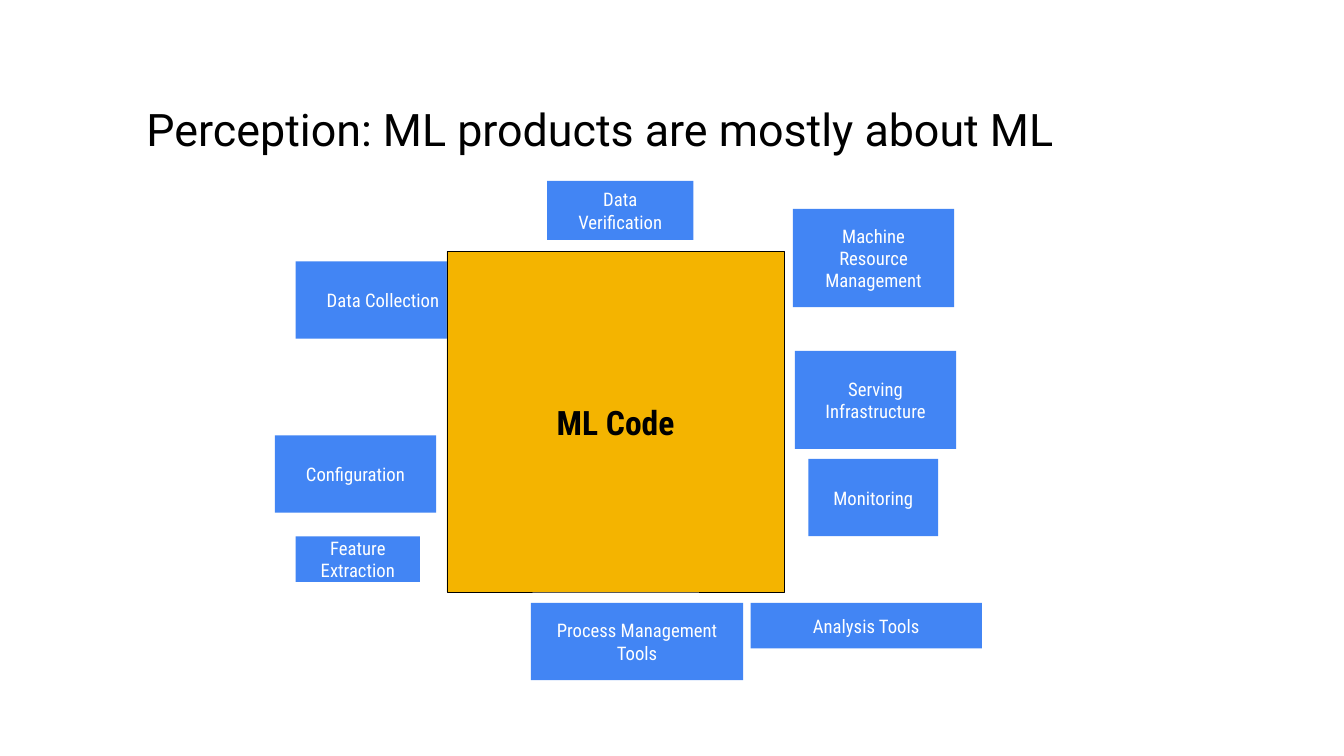
from pptx import Presentation
from pptx.dml.color import RGBColor
from pptx.enum.shapes import MSO_SHAPE
from pptx.enum.text import MSO_ANCHOR, MSO_AUTO_SIZE, PP_ALIGN
from pptx.util import Inches, Pt

RECTANGLE = MSO_SHAPE.RECTANGLE
TOP, MIDDLE = MSO_ANCHOR.TOP, MSO_ANCHOR.MIDDLE
LEFT, CENTER = PP_ALIGN.LEFT, PP_ALIGN.CENTER
NO_AUTOFIT = MSO_AUTO_SIZE.NONE

BLACK = RGBColor(0x00, 0x00, 0x00)
WHITE = RGBColor(0xFF, 0xFF, 0xFF)
BLUE = RGBColor(0x42, 0x85, 0xF4)
YELLOW = RGBColor(0xF4, 0xB4, 0x00)
TITLE_FONT, LABEL_FONT = "Roboto", "Roboto Condensed"

# Content: label and box (left, top, width, height) in inches
TITLE = "Perception: ML products are mostly about ML"
TITLE_BOX = (1.98, 1.2, 17.42, 1.27)
COMPONENTS = [
    ("Configuration", (4.09, 6.48, 2.4, 1.15)),
    ("Data Collection", (4.4, 3.89, 2.6, 1.15)),
    ("Data Verification", (8.14, 2.69, 2.18, 0.88)),
    ("Feature Extraction", (4.4, 7.98, 1.85, 0.68)),
    ("Process Management Tools", (7.9, 8.97, 3.16, 1.15)),
    ("Analysis Tools", (11.17, 8.97, 3.44, 0.68)),
    ("Machine Resource Management", (11.8, 3.11, 2.4, 1.46)),
    ("Serving Infrastructure", (11.83, 5.22, 2.4, 1.46)),
    ("Monitoring", (12.03, 6.83, 1.93, 1.15)),
]
ML_CODE = ("ML Code", (6.65, 3.74, 5.02, 5.07))


def write_text(shape, text, font_name, size, color, alignment, anchor, bold=False):
    frame = shape.text_frame
    frame.text = text
    frame.word_wrap = True
    frame.auto_size = NO_AUTOFIT
    frame.vertical_anchor = anchor
    frame.margin_left = frame.margin_right = Inches(0.2)
    frame.margin_top = frame.margin_bottom = Inches(0.2)
    paragraph = frame.paragraphs[0]
    paragraph.alignment = alignment
    font = paragraph.runs[0].font
    font.name, font.size, font.bold = font_name, Pt(size), bold
    font.color.rgb = color
    return paragraph


def add_block(slide, label, box, fill, size, color, bold=False):
    shape = slide.shapes.add_shape(RECTANGLE, *map(Inches, box))
    shape.shadow.inherit = False
    shape.fill.solid()
    shape.fill.fore_color.rgb = fill
    shape.line.fill.background()
    write_text(shape, label, LABEL_FONT, size, color, CENTER, MIDDLE, bold)
    return shape


def main():
    presentation = Presentation()
    presentation.slide_width = Inches(20)
    presentation.slide_height = Inches(11.25)
    slide = presentation.slides.add_slide(presentation.slide_layouts[5])

    # Title
    title = slide.shapes.title
    title.left, title.top, title.width, title.height = map(Inches, TITLE_BOX)
    paragraph = write_text(title, TITLE, TITLE_FONT, 48, BLACK, LEFT, TOP)
    paragraph.line_spacing = 1.15

    # Surrounding components
    for label, box in COMPONENTS:
        add_block(slide, label, box, BLUE, 20, WHITE)

    # Central ML code block, in front of its neighbours
    label, box = ML_CODE
    ml_code = add_block(slide, label, box, YELLOW, 36, BLACK, bold=True)
    ml_code.line.color.rgb = BLACK
    ml_code.line.width = Pt(0.75)

    presentation.save("out.pptx")


if __name__ == "__main__":
    main()
